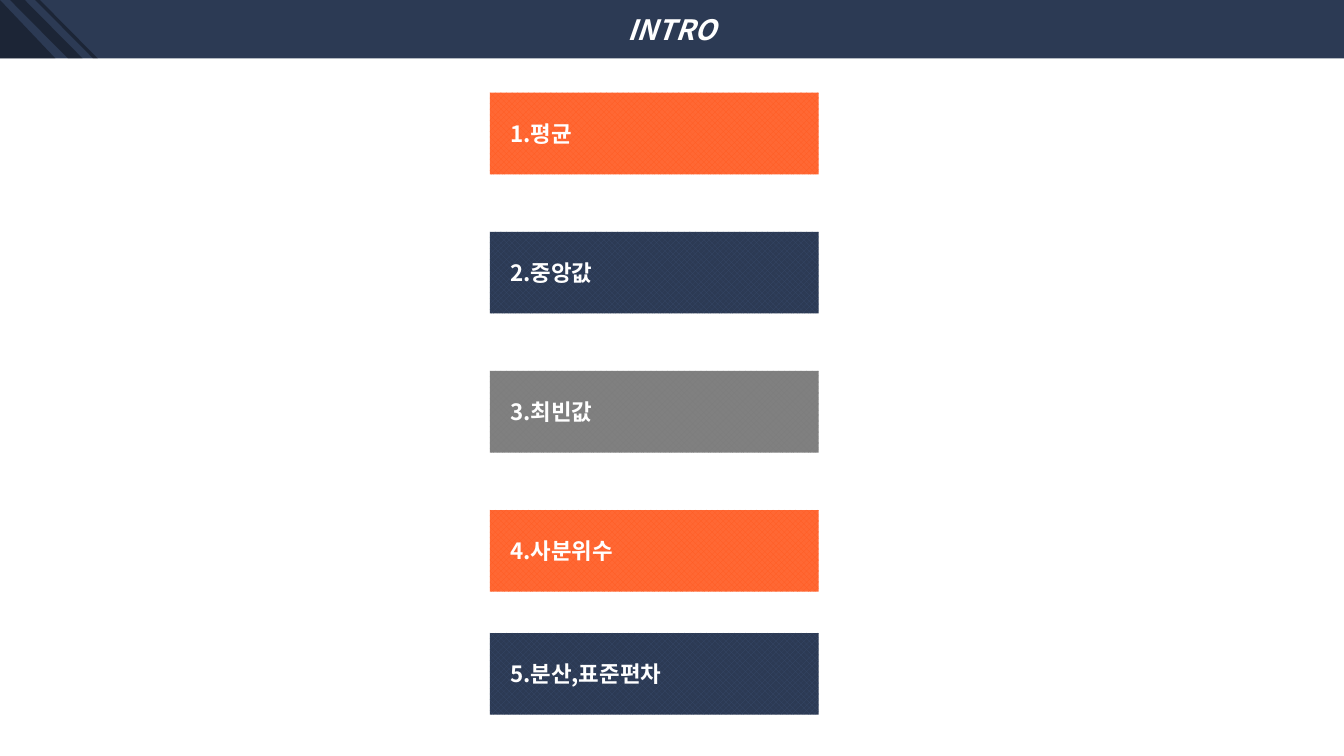
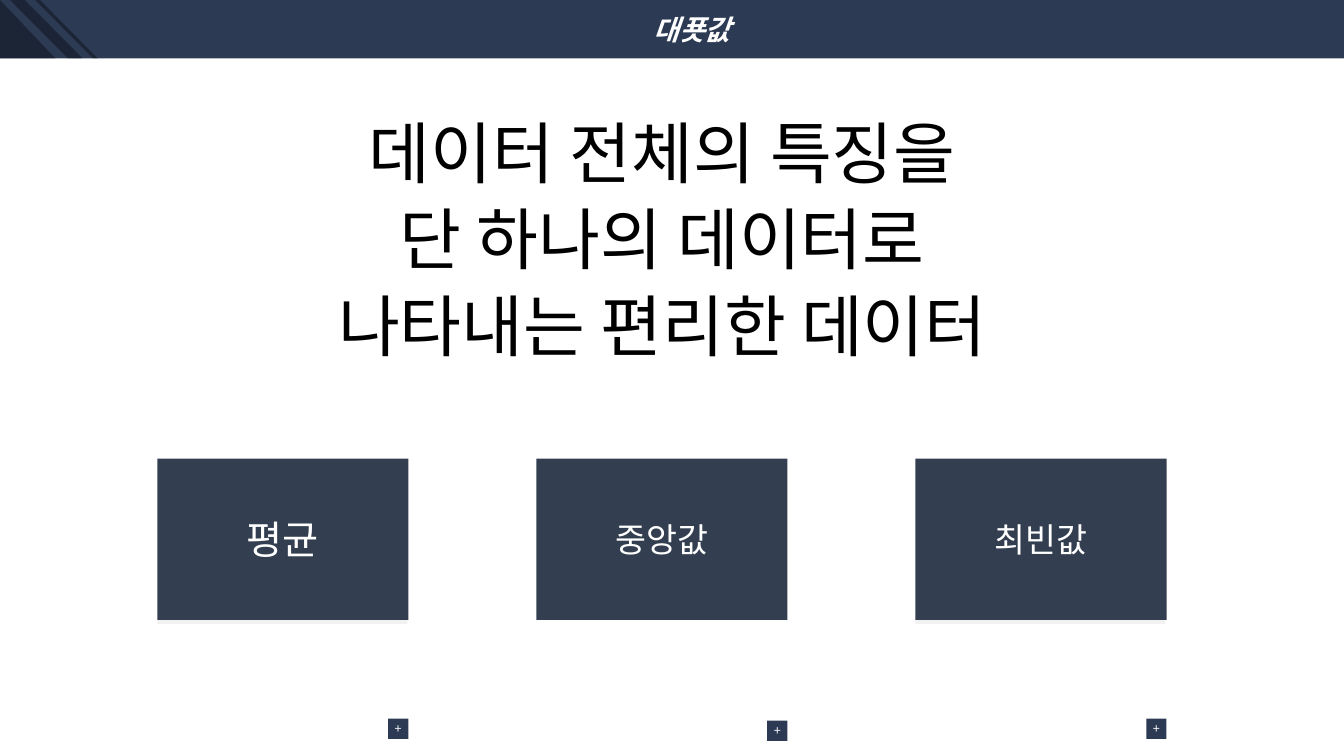
"""Build two statistics slides: a topic list and the representative values."""
from dataclasses import dataclass

from lxml.etree import SubElement
from pptx import Presentation
from pptx.dml.color import RGBColor
from pptx.enum.dml import MSO_PATTERN
from pptx.enum.shapes import MSO_SHAPE as Preset
from pptx.enum.text import MSO_ANCHOR as Anchor, MSO_AUTO_SIZE as AutoSize, PP_ALIGN as Align
from pptx.oxml.ns import qn
from pptx.shapes.autoshape import Shape
from pptx.shapes.shapetree import GroupShapes
from pptx.slide import Slide
from pptx.text.text import TextFrame, _Paragraph as Paragraph
from pptx.util import Inches, Pt


@dataclass(frozen=True)
class Theme:
    """Colours, fonts and type sizes of the deck."""
    navy: str = "2C3A54"
    slate: str = "333F50"
    white: str = "FFFFFF"
    black: str = "000000"
    pale: str = "F2F2F2"
    orange_weave: tuple[str, str] = ("FF5B21", "FF6834")
    navy_weave: tuple[str, str] = ("384A6A", "2C3A54")
    gray_weave: tuple[str, str] = ("7D7D7D", "808080")
    face: str = "Noto Sans CJK KR"
    statement_face: str = "Calibri"
    title_size: int = 20
    topic_size: int = 16
    statement_size: int = 48
    plus_size: int = 9


@dataclass(frozen=True)
class Box:
    """A place on the slide, in inches."""
    left: float
    top: float
    width: float
    height: float

    def lengths(self) -> tuple[Inches, ...]:
        """Return left, top, width and height as lengths."""
        return tuple(Inches(v) for v in (self.left, self.top, self.width, self.height))


@dataclass(frozen=True)
class Topic:
    """One line of the topic list."""
    label: str
    weave: tuple[str, str]
    top: float


@dataclass(frozen=True)
class Card:
    """One representative value."""
    label: str
    size: int
    plus_top: float
    has_edge: bool


THEME = Theme()
BAND_HEIGHT = 0.58
STRIPES = (Box(0.1, 0, 0.72, BAND_HEIGHT), Box(0.35, 0, 0.62, BAND_HEIGHT))
TOPIC_TOP, TOPIC_PITCH = 0.92, 1.38
TOPICS = (
    Topic("1.평균", THEME.orange_weave, TOPIC_TOP),
    Topic("2.중앙값", THEME.navy_weave, TOPIC_TOP + TOPIC_PITCH),
    Topic("3.최빈값", THEME.gray_weave, TOPIC_TOP + 2 * TOPIC_PITCH),
    Topic("4.사분위수", THEME.orange_weave, TOPIC_TOP + 3 * TOPIC_PITCH),
    Topic("5.분산,표준편차", THEME.navy_weave, 6.28),
)
STATEMENT = ("데이터 전체의 특징을", "단 하나의 데이터로", "나타내는 편리한 데이터")
CARD_LEFT, CARD_PITCH = 1.56, 3.76
CARDS = (
    Card("평균", 28, 7.13, True),
    Card("중앙값", 24, 7.15, False),
    Card("최빈값", 24, 7.13, True),
)


def rgb(value: str) -> RGBColor:
    """Turn a hex string into a colour."""
    return RGBColor.from_string(value)


def style(paragraph: Paragraph, size: int, color: str = THEME.white, face: str = THEME.face,
          bold: bool = False, italic: bool = False, align: Align = Align.CENTER) -> None:
    """Set the alignment and font of a paragraph, for Latin and Korean text."""
    paragraph.alignment = align
    font = paragraph.font
    font.size, font.bold, font.italic = Pt(size), bold, italic
    font.color.rgb = rgb(color)
    font.name = face
    SubElement(font._rPr, qn("a:ea")).set("typeface", face)


def add_block(shapes: GroupShapes, box: Box, color: str, preset: Preset = Preset.RECTANGLE) -> Shape:
    """Add a flat shape without outline or shadow."""
    block = shapes.add_shape(preset, *box.lengths())
    block.shadow.inherit = False
    block.fill.solid()
    block.fill.fore_color.rgb = rgb(color)
    block.line.fill.background()
    return block


def write(frame: TextFrame, text: str) -> Paragraph:
    """Put one vertically centred line into a frame."""
    frame.text = text
    frame.vertical_anchor = Anchor.MIDDLE
    frame.word_wrap = True
    return frame.paragraphs[0]


def place(placeholder: Shape, box: Box) -> None:
    """Move a placeholder and keep its text at the set size."""
    placeholder.left, placeholder.top, placeholder.width, placeholder.height = box.lengths()
    placeholder.text_frame.auto_size = AutoSize.NONE


def shade(block: Shape) -> None:
    """Make a solid fill 35 % opaque."""
    color = block.fill._xPr.find(qn("a:solidFill"))[0]
    SubElement(color, qn("a:alpha")).set("val", "35000")


def add_header(slide: Slide, title: str, width: float) -> None:
    """Turn the title into the top band and add its corner stripes."""
    band = slide.shapes.title
    place(band, Box(0, 0, width, BAND_HEIGHT))
    band.fill.solid()
    band.fill.fore_color.rgb = rgb(THEME.navy)
    style(write(band.text_frame, title), THEME.title_size, bold=True, italic=True)
    corner = Box(0, 0, 0.55, BAND_HEIGHT)
    shade(add_block(slide.shapes, corner, THEME.black, Preset.RIGHT_TRIANGLE))
    for box in STRIPES:
        stripe = add_block(slide.shapes, box, THEME.black, Preset.PARALLELOGRAM)
        stripe.adjustments[0] = 0.99
        stripe._element.spPr.find(qn("a:xfrm")).set("flipH", "1")
        shade(stripe)


def add_topic(slide: Slide, topic: Topic) -> None:
    """Add one woven bar of the topic list."""
    bar = add_block(slide.shapes, Box(4.86, topic.top, 3.26, 0.81), THEME.navy)
    bar.fill.patterned()
    bar.fill.pattern = MSO_PATTERN.SOLID_DIAMOND
    fore, back = topic.weave
    bar.fill.fore_color.rgb, bar.fill.back_color.rgb = rgb(fore), rgb(back)
    bar.text_frame.margin_left = Inches(0.2)
    style(write(bar.text_frame, topic.label), THEME.topic_size, bold=True, align=Align.LEFT)


def add_statement(slide: Slide) -> None:
    """Fill the body with the three-line statement."""
    body = slide.placeholders[1]
    place(body, Box(0.82, 1.14, 11.5, 2.74))
    body.text_frame.text = "\n".join(STATEMENT)
    for line in body.text_frame.paragraphs:
        line.line_spacing, line.space_before = 0.9, Pt(10)
        properties = line._p.get_or_add_pPr()
        properties.set("marL", "0")
        properties.set("indent", "0")
        SubElement(properties, qn("a:buNone"))
        style(line, THEME.statement_size, THEME.black, THEME.statement_face)


def add_card(slide: Slide, card: Card, left: float) -> None:
    """Add a card with its lower edge and plus mark as one group."""
    shapes = slide.shapes.add_group_shape().shapes
    if card.has_edge:
        add_block(shapes, Box(left, 6.14, 2.48, 0.05), THEME.pale)
    plus = add_block(shapes, Box(left + 2.29, card.plus_top, 0.2, 0.2), THEME.navy)
    frame = plus.text_frame
    frame.margin_left = frame.margin_top = frame.margin_right = frame.margin_bottom = 0
    style(write(frame, "+"), THEME.plus_size)
    panel = add_block(shapes, Box(left, 4.55, 2.49, 1.6), THEME.slate)
    style(write(panel.text_frame, card.label), card.size)


def main() -> None:
    """Build and save the deck."""
    deck = Presentation()
    deck.slide_width, deck.slide_height = Inches(13.33), Inches(7.5)
    intro = deck.slides.add_slide(deck.slide_layouts[5])
    add_header(intro, "INTRO", 13.33)
    for topic in TOPICS:
        add_topic(intro, topic)
    values = deck.slides.add_slide(deck.slide_layouts[1])
    add_header(values, "대푯값", 13.73)
    add_statement(values)
    for index, card in enumerate(CARDS):
        add_card(values, card, CARD_LEFT + index * CARD_PITCH)
    deck.save("out.pptx")


if __name__ == "__main__":
    main()
